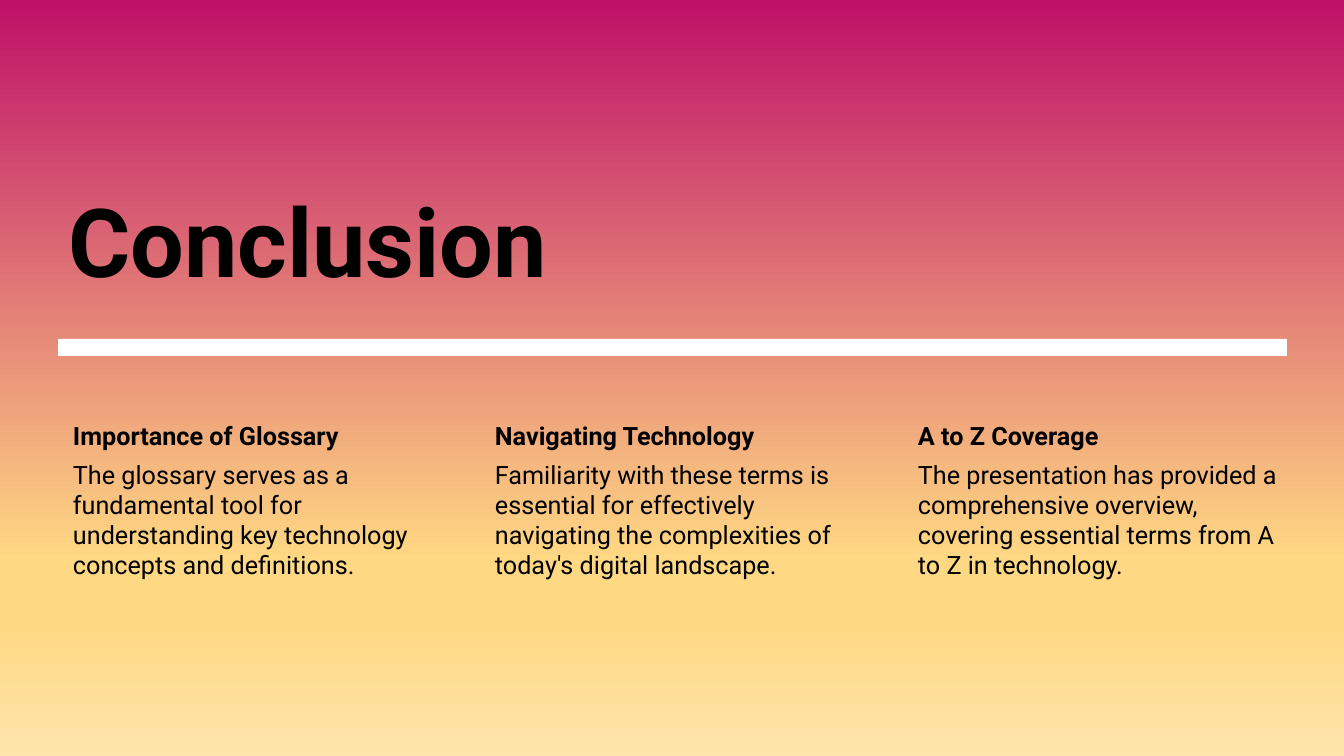
from lxml.etree import SubElement
from pptx import Presentation
from pptx.dml.color import RGBColor
from pptx.enum.shapes import MSO_SHAPE
from pptx.enum.text import MSO_ANCHOR, MSO_AUTO_SIZE, PP_ALIGN
from pptx.oxml.ns import qn
from pptx.util import Emu, Pt

COLORS = {
    "text": "000000",
    "rule": "FFFFFF",
    "magenta": "BF1168",
    "gold": "FFD883",
    "cream": "FFE5AC",
}
SUNSET = [(0, "magenta"), (74, "gold"), (83, "gold"), (100, "cream")]
TAKEAWAYS = [
    ("Importance of Glossary",
     "The glossary serves as a fundamental tool for understanding key technology "
     "concepts and definitions."),
    ("Navigating Technology",
     "Familiarity with these terms is essential for effectively navigating the "
     "complexities of today's digital landscape."),
    ("A to Z Coverage",
     "The presentation has provided a comprehensive overview, covering essential "
     "terms from A to Z in technology."),
]
SLIDE_WIDTH, SLIDE_HEIGHT = 1344, 756
LEFT, WIDTH, COLUMN_WIDTH = 58, 1229, 384


def px(*lengths):
    return [Emu(round(length * 914400 / 100.8)) for length in lengths]


def write(frame, text, size, bold):
    frame.word_wrap = True
    frame.auto_size = MSO_AUTO_SIZE.NONE
    paragraph = frame.paragraphs[0]
    paragraph.alignment = PP_ALIGN.LEFT
    run = paragraph.add_run()
    run.text = text
    run.font.name = "Roboto"
    run.font.size = Pt(size)
    run.font.bold = bold
    run.font.color.rgb = RGBColor.from_string(COLORS["text"])


deck = Presentation()
deck.slide_width, deck.slide_height = px(SLIDE_WIDTH, SLIDE_HEIGHT)
slide = deck.slides.add_slide(deck.slide_layouts[5])
title = slide.shapes.title

sunset = slide.shapes.add_shape(MSO_SHAPE.RECTANGLE, *px(0, 0, SLIDE_WIDTH, SLIDE_HEIGHT))
rule = slide.shapes.add_shape(MSO_SHAPE.RECTANGLE, *px(LEFT, 339, WIDTH, 17))
for backdrop in (sunset, rule):
    backdrop.shadow.inherit = False
    backdrop.line.fill.background()
    title.element.addprevious(backdrop.element)
rule.fill.solid()
rule.fill.fore_color.rgb = RGBColor.from_string(COLORS["rule"])

for fill in (slide.background.fill, sunset.fill):
    fill.gradient()
    fill.gradient_angle = 270
for stops in slide.element.iter(qn("a:gsLst")):
    for stop in list(stops):
        stops.remove(stop)
    for percent, color in SUNSET:
        stop = SubElement(stops, qn("a:gs"), pos=str(percent * 1000))
        SubElement(stop, qn("a:srgbClr"), val=COLORS[color])

title.left, title.top, title.width, title.height = px(LEFT, 147, WIDTH, 155)
title.text_frame.vertical_anchor = MSO_ANCHOR.BOTTOM
write(title.text_frame, "Conclusion", 68, True)

for column, (heading, detail) in enumerate(TAKEAWAYS):
    left = LEFT + column * (WIDTH - COLUMN_WIDTH) // (len(TAKEAWAYS) - 1)
    for text, top, height, bold in [(heading, 417, 39, True), (detail, 456, 231, False)]:
        frame = slide.shapes.add_textbox(*px(left, top, COLUMN_WIDTH, height)).text_frame
        (frame.margin_left, frame.margin_top,
         frame.margin_right, frame.margin_bottom) = px(15, 3, 3, 3)
        write(frame, text, 18, bold)

deck.save("out.pptx")
